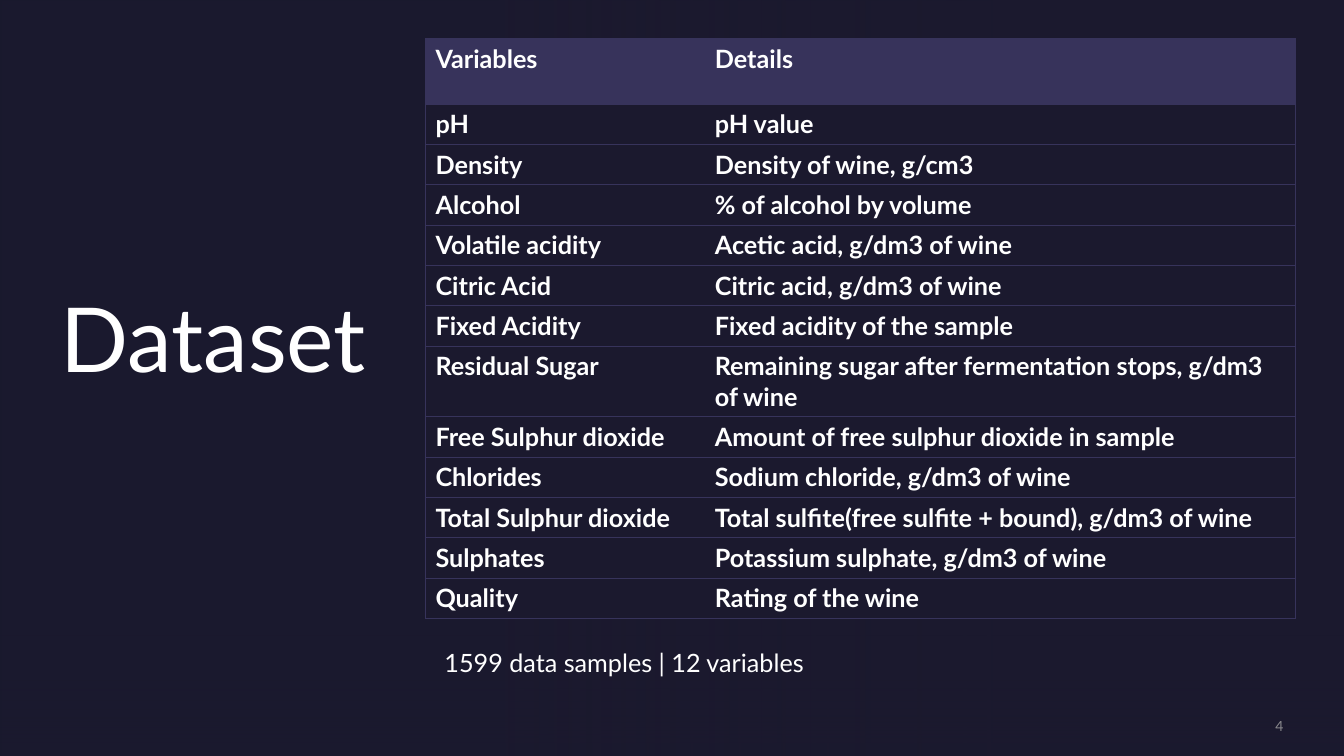
import pptx
import pptx.util
import pptx.dml.color
import pptx.enum.shapes
import pptx.enum.text
import pptx.oxml.ns
import lxml.etree

FONT = "Lato"
NIGHT, VIOLET, WHITE, GREY = "1B192E", "37335B", "FFFFFF", "A6A6A6"
WIDTH, HEIGHT = 13.33, 7.5
HEADER_ROW, VARIABLE_ROW = 0.65, 0.36

VARIABLES = [
    ("Variables", "Details"),
    ("pH", "pH value"),
    ("Density", "Density of wine, g/cm3"),
    ("Alcohol", "% of alcohol by volume"),
    ("Volatile acidity", "Acetic acid, g/dm3 of wine"),
    ("Citric Acid", "Citric acid, g/dm3 of wine"),
    ("Fixed Acidity", "Fixed acidity of the sample"),
    ("Residual Sugar", "Remaining sugar after fermentation stops, g/dm3 of wine"),
    ("Free Sulphur dioxide", "Amount of free sulphur dioxide in sample"),
    ("Chlorides", "Sodium chloride, g/dm3 of wine"),
    ("Total Sulphur dioxide", "Total sulfite(free sulfite + bound), g/dm3 of wine"),
    ("Sulphates", "Potassium sulphate, g/dm3 of wine"),
    ("Quality", "Rating of the wine"),
]


def colour(value):
    return pptx.dml.color.RGBColor.from_string(value)


def inches(*lengths):
    return [pptx.util.Inches(length) for length in lengths]


def set_opacity(parent, percent):
    for tint in parent.iter(pptx.oxml.ns.qn("a:srgbClr")):
        lxml.etree.SubElement(tint, pptx.oxml.ns.qn("a:alpha"), val=str(percent * 1000))


def style(paragraph, size, tint=WHITE, bold=False):
    font = paragraph.font
    font.name, font.size, font.bold = FONT, pptx.util.Pt(size), bold
    font.color.rgb = colour(tint)


def add_text(slide, box, words, size, tint=WHITE, anchor="TOP", align="LEFT", inset=(0, 0)):
    frame = slide.shapes.add_textbox(*inches(*box)).text_frame
    frame.word_wrap = True
    frame.vertical_anchor = getattr(pptx.enum.text.MSO_ANCHOR, anchor)
    frame.margin_left = frame.margin_right = pptx.util.Inches(inset[0])
    frame.margin_top = frame.margin_bottom = pptx.util.Inches(inset[1])
    paragraph = frame.paragraphs[0]
    paragraph.text = words
    paragraph.alignment = getattr(pptx.enum.text.PP_ALIGN, align)
    style(paragraph, size, tint)
    return paragraph


def add_panel(slide, box):
    panel = slide.shapes.add_shape(pptx.enum.shapes.MSO_SHAPE.RECTANGLE, *inches(*box))
    panel.shadow.inherit = False
    panel.line.fill.background()
    return panel


def add_fade(slide, box, positions, angle, rotation=0):
    fade = add_panel(slide, box)
    fade.rotation = rotation
    fade.fill.gradient()
    fade.fill.gradient_angle = angle
    for stop, position in zip(fade.fill.gradient_stops, positions):
        stop.position = position
        stop.color.rgb = colour(NIGHT)
    clear_stop = fade._element.spPr.findall(".//" + pptx.oxml.ns.qn("a:gs"))[-1]
    set_opacity(clear_stop, 60)


def add_backdrop(slide, box):
    left, top, width, height = box
    base = add_panel(slide, box)
    base.fill.solid()
    base.fill.fore_color.rgb = colour(NIGHT)
    foot = 1.19
    add_fade(slide, (left, top + height - foot, width, foot), (0.28, 0.9), 270)
    add_fade(slide, (left, top, 9.84, height), (0, 0.5), 0, 180)


def set_borders(cell, drawn):
    properties = cell._tc.get_or_add_tcPr()
    qn = pptx.oxml.ns.qn
    for side in "LRTB":
        line = lxml.etree.SubElement(properties, qn(f"a:ln{side}"), w=str(pptx.util.Pt(0.5)))
        if side in drawn:
            fill = lxml.etree.SubElement(line, qn("a:solidFill"))
            lxml.etree.SubElement(fill, qn("a:srgbClr"), val=VIOLET)
        else:
            lxml.etree.SubElement(line, qn("a:noFill"))


def add_variables(slide, box):
    left, top, width, height = inches(*box)
    table = slide.shapes.add_table(len(VARIABLES), 2, left, top, width, height).table
    table.horz_banding = False
    for column, share in zip(table.columns, (0.321, 0.679)):
        column.width = int(width * share)
    for index, (row, entry) in enumerate(zip(table.rows, VARIABLES)):
        row.height = pptx.util.Inches(VARIABLE_ROW if index else HEADER_ROW)
        for cell, words, outer in zip(row.cells, entry, "LR"):
            set_borders(cell, "TB" + outer)
            cell.fill.solid()
            cell.fill.fore_color.rgb = colour(NIGHT if index else VIOLET)
            paragraph = cell.text_frame.paragraphs[0]
            paragraph.text = words
            style(paragraph, 18, bold=True)


def build_dataset_slide(deck):
    slide = deck.slides.add_slide(deck.slide_layouts[6])
    background = slide.background.fill
    background.solid()
    background.fore_color.rgb = colour(NIGHT)
    add_backdrop(slide, (0, 0, WIDTH, HEIGHT))
    add_text(slide, (0.6, 0.6, 5.95, 3.27), "Dataset", 64, anchor="BOTTOM")
    number = add_text(slide, (10.88, 7.12, 1.85, 0.17), "4", 10, GREY, "MIDDLE", "RIGHT")
    set_opacity(number._p, 80)
    add_variables(slide, (4.22, 0.38, 8.63, 5.75))
    add_text(slide, (4.31, 6.37, 6.57, 0.4), "1599 data samples | 12 variables", 18, inset=(0.1, 0.05))


deck = pptx.Presentation()
deck.slide_width, deck.slide_height = inches(WIDTH, HEIGHT)
build_dataset_slide(deck)
deck.save("out.pptx")
